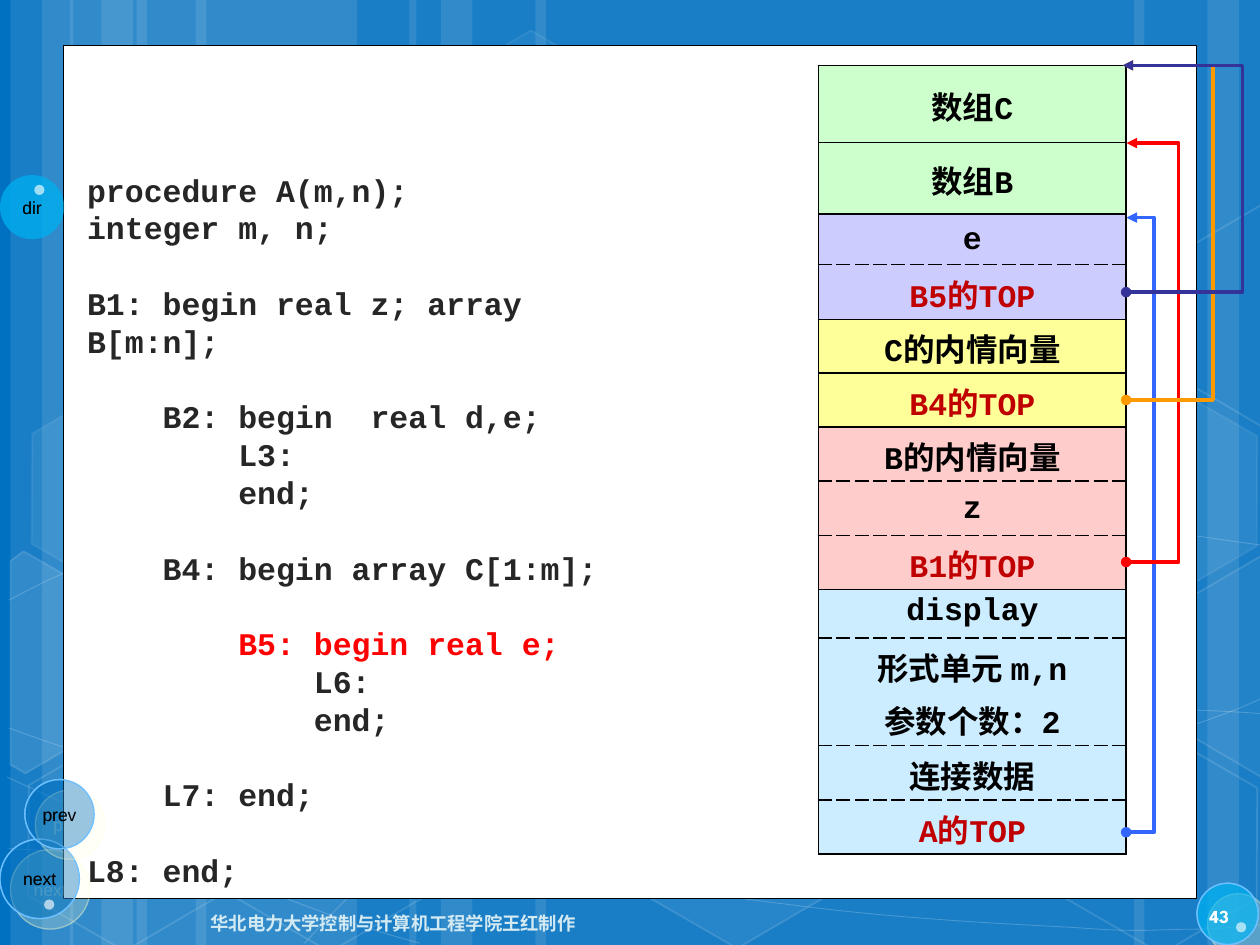
from lxml import etree
from pptx import Presentation
from pptx.dml.color import RGBColor
from pptx.enum import shapes, text
from pptx.oxml import ns, parse_xml
from pptx.util import Pt

RECT, OVAL, HEXAGON = (shapes.MSO_SHAPE.RECTANGLE, shapes.MSO_SHAPE.OVAL,
                       shapes.MSO_SHAPE.HEXAGON)
LEFT, CENTER, RIGHT = text.PP_ALIGN.LEFT, text.PP_ALIGN.CENTER, text.PP_ALIGN.RIGHT
MIDDLE = text.MSO_ANCHOR.MIDDLE
NS = ns.nsdecls("a")


def paint(fill, color, alpha=100):
    """Make a fill solid, with opacity in percent."""
    fill.solid()
    fill.fore_color.rgb = RGBColor.from_string(color)
    if alpha < 100:
        clr = fill._xPr.find(ns.qn("a:solidFill") + "/" + ns.qn("a:srgbClr"))
        etree.SubElement(clr, ns.qn("a:alpha")).set("val", str(alpha * 1000))


def write(tf, content, size=18, font="Courier New", color="000000", bold=True,
          align=LEFT, before=0, spacing=None):
    """Fill the empty first paragraph, or add one."""
    p = tf.paragraphs[0]
    if p.runs:
        p = tf.add_paragraph()
    p.alignment = align
    if before:
        p.space_before = Pt(before)
    if spacing:
        p.line_spacing = Pt(spacing)
    r = p.add_run()
    r.text = content
    r.font.size, r.font.name, r.font.bold = Pt(size), font, bold
    paint(r.font.fill, color)


prs = Presentation()
prs.slide_width, prs.slide_height = Pt(720), Pt(540)
s = prs.slides.add_slide(prs.slide_layouts[6])
paint(s.background.fill, "0070C0")

# Backdrop: translucent vertical bands
bands = [(78, 126), (6, 36), (24, 60), (112, 126), (40, 36), (58, 60), (528, 126),
         (690, 36), (648, 60), (306, 222), (234, 36), (252, 60)]
for x, w in bands:
    sp = s.shapes.add_shape(RECT, Pt(x), 0, Pt(w), Pt(540))
    sp.shadow.inherit = False
    paint(sp.fill, "FFFFFF", 10)
    sp.line.fill.background()

# Backdrop: thin curves; after the start, every three points make a Bezier segment
curves = [
    [(5, 485), (44, 487), (83, 489), (137, 488), (191, 487), (258, 486), (330, 479),
     (402, 472), (504, 458), (570, 444), (636, 431), (703, 409), (725, 397)],
    [(5, 343), (26, 332), (47, 321), (87, 310), (128, 300), (186, 284), (250, 279),
     (314, 274), (392, 273), (471, 279), (550, 284), (682, 307), (725, 312)],
    [(4, 444), (91, 484), (178, 523), (240, 539)],
    [(5, 416), (27, 424), (50, 432), (92, 444), (134, 454), (197, 472), (257, 485),
     (317, 497), (392, 510), (452, 517), (512, 525), (576, 528), (614, 530),
     (652, 533), (662, 531), (680, 531), (699, 531), (712, 529), (725, 528)],
    [(174, 539), (187, 525), (200, 510), (217, 498), (235, 485), (259, 470), (279, 460),
     (300, 450), (312, 446), (338, 438), (364, 431), (413, 421), (438, 416),
     (464, 411), (467, 411), (490, 410), (512, 408), (547, 405), (572, 405),
     (606, 404), (670, 404), (724, 408)],
]
for curve in curves:
    start, *rest = [(Pt(x), Pt(y)) for x, y in curve]
    fb = s.shapes.build_freeform(*start)
    fb.add_line_segments(rest, close=False)
    sp = fb.convert_to_shape()
    outline = sp._element.spPr.find(".//" + ns.qn("a:path"))
    steps = outline.findall(ns.qn("a:lnTo"))
    for i in range(0, len(steps), 3):
        bezier = etree.SubElement(outline, ns.qn("a:cubicBezTo"))
        for step in steps[i:i + 3]:
            bezier.append(step[0])
            outline.remove(step)
    sp.shadow.inherit = False
    sp.fill.background()
    paint(sp.line.fill, "FFFFFF", 20)
    sp.line.width = Pt(0.5)

# Backdrop: hexagons as left, top, fill opacity, line opacity
hexagons = [(240.5, 26, 4, 8), (358, 424, 6, 12), (8, 425.5, 0, 12), (10, 224.6, 7, 8),
            (125.3, 426, 0, 12), (542, 326, 10, 12), (600.5, 427, 0, 12),
            (600.5, 226, 7, 8)]
for x, y, fill_alpha, line_alpha in hexagons:
    sp = s.shapes.add_shape(HEXAGON, Pt(x), Pt(y), Pt(126), Pt(109.4))
    sp.adjustments[0], sp.adjustments[1] = 0.285, 1.155
    sp.rotation = 30
    sp.shadow.inherit = False
    sp.fill.background()
    if fill_alpha:
        paint(sp.fill, "FFFFFF", fill_alpha)
    paint(sp.line.fill, "FFFFFF", line_alpha)
    sp.line.width = Pt(1)

# Backdrop: hexagons cut off by the slide edges
right_cut = [(667, 148.5), (721, 117), (727, 121), (726.5, 241), (721.5, 244), (667, 212)]
cut_hexagons = [
    ([(6, 320.5), (13.5, 315), (69, 347), (68.5, 410.5), (14.5, 442), (6, 437)], 10),
    ([(x, y + 200.5) for x, y in right_cut], 4),
    (right_cut, 0),
]
for corners, fill_alpha in cut_hexagons:
    start, *rest = [(Pt(x), Pt(y)) for x, y in corners]
    fb = s.shapes.build_freeform(*start)
    fb.add_line_segments(rest)
    sp = fb.convert_to_shape()
    sp.shadow.inherit = False
    sp.fill.background()
    if fill_alpha:
        paint(sp.fill, "FFFFFF", fill_alpha)
    paint(sp.line.fill, "FFFFFF", 12)
    sp.line.width = Pt(1)

# Navigation discs lie both under and over the white panel
discs = [  # left, top, diameter, fill, opacity, outlined, label
    (684, 504.7, 35, "00B0F0", 50, True, ""),
    (0, 100, 36.7, "00B0F0", 50, False, "dir"),
    (0, 479.5, 45.4, "0070C0", 40, True, "next"),
    (14.2, 445.5, 39.6, "0070C0", 40, True, "prev"),
    (25.2, 514, 5.8, "FFFFFF", 50, False, ""),
    (19.6, 105.6, 5.8, "FFFFFF", 50, False, ""),
    (706.3, 527, 5.8, "FFFFFF", 50, False, ""),
]
for layer in ("under", "over"):
    for x, y, d, color, alpha, outlined, label in discs:
        sp = s.shapes.add_shape(OVAL, Pt(x), Pt(y), Pt(d), Pt(d))
        sp.shadow.inherit = False
        paint(sp.fill, color, alpha)
        sp.line.fill.background()
        if outlined:
            paint(sp.line.fill, "6DC0FF")
            sp.line.width = Pt(0.75)
            sp._element.spPr.find(ns.qn("a:effectLst")).append(parse_xml(
                f'<a:outerShdw {NS} dist="{Pt(8.5)}" dir="2700000"><a:srgbClr val="FFFFCC">'
                '<a:alpha val="30000"/></a:srgbClr></a:outerShdw>'))
        if label:
            sp.text_frame.word_wrap = False
            sp.text_frame.vertical_anchor = MIDDLE
            write(sp.text_frame, label, size=10, font="Arial", bold=False, align=CENTER)
    if layer == "under":
        panel = s.shapes.add_shape(RECT, Pt(36.2), Pt(26), Pt(647.6), Pt(487.3))
        panel.shadow.inherit = False
        paint(panel.fill, "FFFFFF")
        paint(panel.line.fill, "000000")
        panel.line.width = Pt(0.5)

for x, y, w, content, color, align in [
        (68.4, 513.4, 267.8, "华北电力大学控制与计算机工程学院王红制作", "D4EAF3", RIGHT),
        (684, 509, 34, "43", "FEFEFE", LEFT)]:
    tf = s.shapes.add_textbox(Pt(x), Pt(y), Pt(w), Pt(28.8)).text_frame
    tf.word_wrap = True
    tf.vertical_anchor = MIDDLE
    write(tf, content, size=10.5, font="League Spartan", color=color, align=align)

# Program listing, one group per block of lines
code = [["procedure A(m,n);", "integer m, n;"],
        ["B1: begin real z; array B[m:n];"],
        ["    B2: begin  real d,e;", "        L3:", "        end;"],
        ["    B4: begin array C[1:m];"],
        ["        B5: begin real e;", "            L6:", "            end;"],
        ["    L7: end;"],
        ["L8: end;"]]
LINE = 21.6
tf = s.shapes.add_textbox(Pt(42.7), Pt(94), Pt(345.6), Pt(396.7)).text_frame
tf.word_wrap = True
for g, group in enumerate(code):
    for i, line in enumerate(group):
        write(tf, line, color="FF0000" if "B5" in line else "262626",
              before=LINE if g and not i else 0, spacing=LINE)

# Stack tables: top, then rows of (height, text, fill, bottom border).
# The first spans the whole stack; the others cover its empty rows.
empty_rows = [(h, "", None, "solid") for h in [25.2] + [31] * 6]
frames = [
    (37.4, [(44, "数组C", "CCFFCC", "solid"), (41, "数组B", "CCFFCC", "solid"),
            *empty_rows,
            (31, "display", "CCECFF", "dash"),
            (61.6, "形式单元 m,n\n参数个数：2", "CCECFF", "dash"),
            (31, "连接数据", "CCECFF", "dash"), (31, "A的TOP", "CCECFF", "solid")]),
    (244, [(31, "B的内情向量", "FFCCCC", "dash"), (31, "z", "FFCCCC", "dash"),
           (31, "B1的TOP", "FFCCCC", "solid")]),
    (182.7, [(30.6, "C的内情向量", "FFFF99", "solid"), (30.6, "B4的TOP", "FFFF99", "solid")]),
    (122.3, [(29, "e", "CCCCFF", "dash"), (31.4, "B5的TOP", "CCCCFF", "solid")]),
]
TABLE_X, TABLE_W = 467.8, 175.7
# Link drawn over each table: start y, end y, reach, end offset, colour
links = [(475.6, 124.4, 16.2, 0.2, "3366FF"), (321.2, 81.8, 30.3, 0.2, "FF0000"),
         (228.6, 37.4, 49.4, -2, "FF9900"), (167, 37.4, 66, -2, "333399")]
for (top, rows), (y1, y2, reach, dx, color) in zip(frames, links):
    height = sum(row[0] for row in rows)
    tbl = s.shapes.add_table(len(rows), 1, Pt(TABLE_X), Pt(top), Pt(TABLE_W), Pt(height)).table
    tbl.first_row = tbl.horz_banding = False
    above = "solid"
    for i, (h, content, fill, below) in enumerate(rows):
        tbl.rows[i].height = Pt(h)
        cell = tbl.cell(i, 0)
        cell.vertical_anchor = MIDDLE
        cell.margin_top, cell.margin_bottom = Pt(2.4), Pt(0.5)
        tc_pr = cell._tc.get_or_add_tcPr()
        for side, dash in zip("LRTB", ("solid", "solid", above, below)):
            tc_pr.append(parse_xml(
                f'<a:ln{side} {NS} w="{Pt(1)}"><a:solidFill><a:srgbClr val="000000"/>'
                f'</a:solidFill><a:prstDash val="{dash}"/></a:ln{side}>'))
        above = below
        if not fill:
            cell.fill.background()
            continue
        paint(cell.fill, fill)
        for n, line in enumerate(content.split("\n")):
            write(cell.text_frame, line, color="C00000" if "TOP" in line else "000000",
                  align=CENTER, before=3.6 if n else 0)

    x = TABLE_X + TABLE_W
    link = s.shapes.add_connector(shapes.MSO_CONNECTOR.ELBOW, Pt(x), Pt(y1), Pt(x + dx), Pt(y2))
    paint(link.line.fill, color)
    link.line.width = Pt(2)
    ln = link.line._get_or_add_ln()
    etree.SubElement(ln, ns.qn("a:headEnd")).set("type", "oval")
    etree.SubElement(ln, ns.qn("a:tailEnd")).set("type", "triangle")
    sp_pr = link._element.spPr
    etree.SubElement(sp_pr, ns.qn("a:effectLst"))
    guide = etree.SubElement(sp_pr.find(".//" + ns.qn("a:avLst")), ns.qn("a:gd"))
    guide.set("name", "adj1")
    guide.set("fmla", f"val {round(reach / dx * 100000)}")

prs.save("out.pptx")
